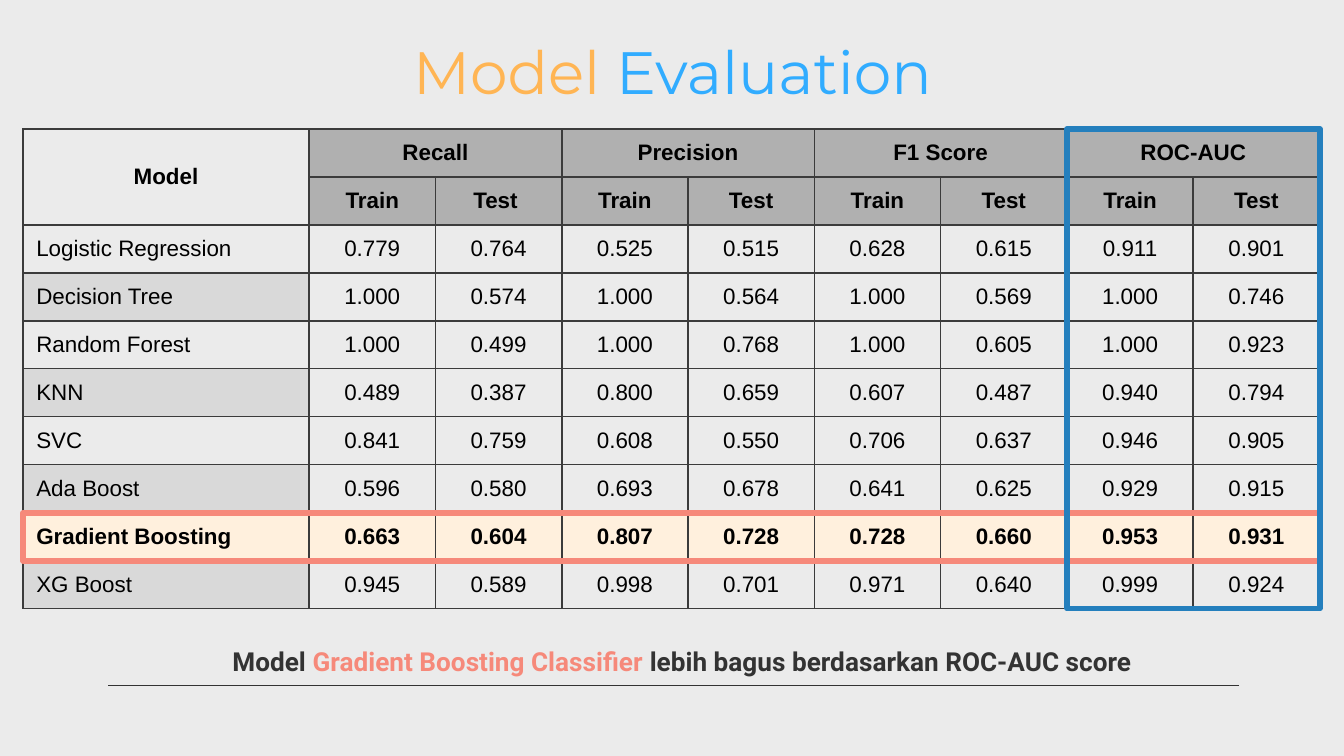
from dataclasses import dataclass

from lxml.etree import SubElement
from pptx import Presentation
from pptx.dml.color import RGBColor
from pptx.enum.shapes import MSO_CONNECTOR, MSO_SHAPE
from pptx.enum.text import MSO_ANCHOR, MSO_AUTO_SIZE, PP_ALIGN
from pptx.oxml.ns import qn
from pptx.util import Inches, Pt


@dataclass(frozen=True)
class Theme:
    background: str = "EBEBEB"
    text: str = "333333"
    cell_text: str = "000000"
    border: str = "3B3B3B"
    header: str = "B0B0B0"
    band: str = "D9D9D9"
    best: str = "FFF0DD"
    orange: str = "FFB554"
    blue: str = "31ACFF"
    coral: str = "F6897A"
    frame_blue: str = "247FBD"
    title_font: str = "Montserrat"
    note_font: str = "Roboto"
    table_font: str = "Arial"
    title_size: int = 32
    note_size: int = 14
    table_size: int = 12


THEME = Theme()

# Slide and table grid, in inches
SLIDE_WIDTH = 10
SLIDE_HEIGHT = SLIDE_WIDTH * 9 / 16
LEFT, TOP = 0.17, 0.96
NAME_WIDTH, VALUE_WIDTH = 2.13, 0.94
TABLE_HEIGHT = 3.57
HEADER_ROWS = 2

METRICS = ["Recall", "Precision", "F1 Score", "ROC-AUC"]
SPLITS = ["Train", "Test "] + ["Train", "Test"] * (len(METRICS) - 1)
BEST_MODEL = "Gradient Boosting"
SCORES = {
    "Logistic Regression": "0.779 0.764 0.525 0.515 0.628 0.615 0.911 0.901",
    "Decision Tree": "1.000 0.574 1.000 0.564 1.000 0.569 1.000 0.746",
    "Random Forest": "1.000 0.499 1.000 0.768 1.000 0.605 1.000 0.923",
    "KNN": "0.489 0.387 0.800 0.659 0.607 0.487 0.940 0.794",
    "SVC": "0.841 0.759 0.608 0.550 0.706 0.637 0.946 0.905",
    "Ada Boost": "0.596 0.580 0.693 0.678 0.641 0.625 0.929 0.915",
    "Gradient Boosting": "0.663 0.604 0.807 0.728 0.728 0.660 0.953 0.931",
    "XG Boost": "0.945 0.589 0.998 0.701 0.971 0.640 0.999 0.924",
}
COLUMN_COUNT = 1 + len(SPLITS)
ROW_COUNT = HEADER_ROWS + len(SCORES)
ROW_HEIGHT = TABLE_HEIGHT / ROW_COUNT


def color(value):
    return RGBColor.from_string(value)


def column_left(column):
    return LEFT + (NAME_WIDTH + (column - 1) * VALUE_WIDTH if column else 0)


def row_top(row):
    return TOP + row * ROW_HEIGHT


def add_span(para, text, font, size, ink, bold=False):
    span = para.add_run()
    span.text = text
    span.font.name = font
    span.font.size = Pt(size)
    span.font.bold = bold
    span.font.color.rgb = color(ink)


def fill_placeholder(box, place, spans, font, size, bold=False):
    """Move a placeholder and write (text, colour) spans in one centred line."""
    box.left, box.top, box.width, box.height = map(Inches, place)
    frame = box.text_frame
    frame.word_wrap = True
    frame.auto_size = MSO_AUTO_SIZE.NONE
    frame.vertical_anchor = MSO_ANCHOR.TOP
    frame.margin_left = frame.margin_right = Inches(0.1)
    frame.margin_top = frame.margin_bottom = Inches(0.1)
    para = frame.paragraphs[0]
    para.alignment = PP_ALIGN.CENTER
    para.line_spacing = 1.0
    para.space_before = Pt(0)
    for text, ink in spans:
        add_span(para, text, font, size, ink, bold)
    return para


def add_borders(cell):
    properties = cell._tc.get_or_add_tcPr()
    for side in ("a:lnL", "a:lnR", "a:lnT", "a:lnB"):
        line = SubElement(properties, qn(side), w=str(Pt(1)))
        fill = SubElement(line, qn("a:solidFill"))
        SubElement(fill, qn("a:srgbClr"), val=THEME.border)


def style_cell(cell, text="", fill=None, bold=False, align=PP_ALIGN.CENTER):
    add_borders(cell)
    if fill:
        cell.fill.solid()
        cell.fill.fore_color.rgb = color(fill)
    else:
        cell.fill.background()
    cell.vertical_anchor = MSO_ANCHOR.MIDDLE
    para = cell.text_frame.paragraphs[0]
    para.alignment = align
    if text:
        add_span(para, text, THEME.table_font, THEME.table_size,
                 THEME.cell_text, bold)


def add_score_table(page):
    width = column_left(COLUMN_COUNT) - LEFT
    table = page.shapes.add_table(
        ROW_COUNT, COLUMN_COUNT, Inches(LEFT), Inches(TOP),
        Inches(width), Inches(TABLE_HEIGHT)).table
    table.first_row = table.horz_banding = False
    for index, column in enumerate(table.columns):
        column.width = Inches(VALUE_WIDTH if index else NAME_WIDTH)
    for row in table.rows:
        row.height = Inches(ROW_HEIGHT)

    # Two header rows: metric names above train and test
    metric_row = ["Model"]
    for metric in METRICS:
        metric_row += [metric, ""]
    for row, labels in enumerate([metric_row, [""] + SPLITS]):
        for column, label in enumerate(labels):
            style_cell(table.cell(row, column), label,
                       THEME.header if column else None, bold=True)
    table.cell(0, 0).merge(table.cell(1, 0))
    for column in range(1, COLUMN_COUNT, 2):
        table.cell(0, column).merge(table.cell(0, column + 1))

    # One row per model, with every second name shaded
    for index, (model, scores) in enumerate(SCORES.items()):
        row = HEADER_ROWS + index
        best = model == BEST_MODEL
        row_fill = THEME.best if best else None
        name_fill = row_fill or (THEME.band if index % 2 else None)
        style_cell(table.cell(row, 0), model, name_fill, best, PP_ALIGN.LEFT)
        for column, score in enumerate(scores.split(), start=1):
            style_cell(table.cell(row, column), score, row_fill, best)


def add_frame(page, column, row, columns, rows, ink):
    """Outline a block of table cells."""
    left, top = column_left(column), row_top(row)
    frame = page.shapes.add_shape(
        MSO_SHAPE.RECTANGLE, Inches(left), Inches(top),
        Inches(column_left(column + columns) - left),
        Inches(rows * ROW_HEIGHT))
    frame.shadow.inherit = False
    frame.fill.background()
    frame.line.color.rgb = color(ink)
    frame.line.width = Pt(3)


def add_rule(page, start, end, top):
    rule = page.shapes.add_connector(
        MSO_CONNECTOR.STRAIGHT, Inches(start), Inches(top),
        Inches(end), Inches(top))
    rule.line.color.rgb = color(THEME.text)
    rule.line.width = Pt(0.75)
    SubElement(rule._element.spPr, qn("a:effectLst"))


def main():
    deck = Presentation()
    deck.slide_width, deck.slide_height = Inches(SLIDE_WIDTH), Inches(SLIDE_HEIGHT)
    page = deck.slides.add_slide(deck.slide_layouts[0])
    page.background.fill.solid()
    page.background.fill.fore_color.rgb = color(THEME.background)

    # Footer rule, then the table with its two highlights
    add_rule(page, 9.22, 0.8, 5.1)
    add_score_table(page)
    best_row = HEADER_ROWS + list(SCORES).index(BEST_MODEL)
    add_frame(page, 0, best_row, COLUMN_COUNT, 1, THEME.coral)
    add_frame(page, COLUMN_COUNT - 2, 0, 2, ROW_COUNT, THEME.frame_blue)

    # Title and conclusion
    title, conclusion = page.placeholders
    fill_placeholder(title, (0.79, 0.16, 8.43, 0.63),
                     [("Model", THEME.orange), (" Evaluation", THEME.blue)],
                     THEME.title_font, THEME.title_size)
    para = fill_placeholder(
        conclusion, (0.32, 4.7, 9.36, 0.49),
        [("Model ", THEME.text),
         ("Gradient Boosting Classifier ", THEME.coral),
         ("lebih bagus berdasarkan ROC-AUC score", THEME.text)],
        THEME.note_font, THEME.note_size, bold=True)
    indents = para._p.get_or_add_pPr()
    indents.set("marL", str(Inches(0.5)))
    indents.set("indent", str(Inches(-0.35)))

    deck.save("out.pptx")


if __name__ == "__main__":
    main()
